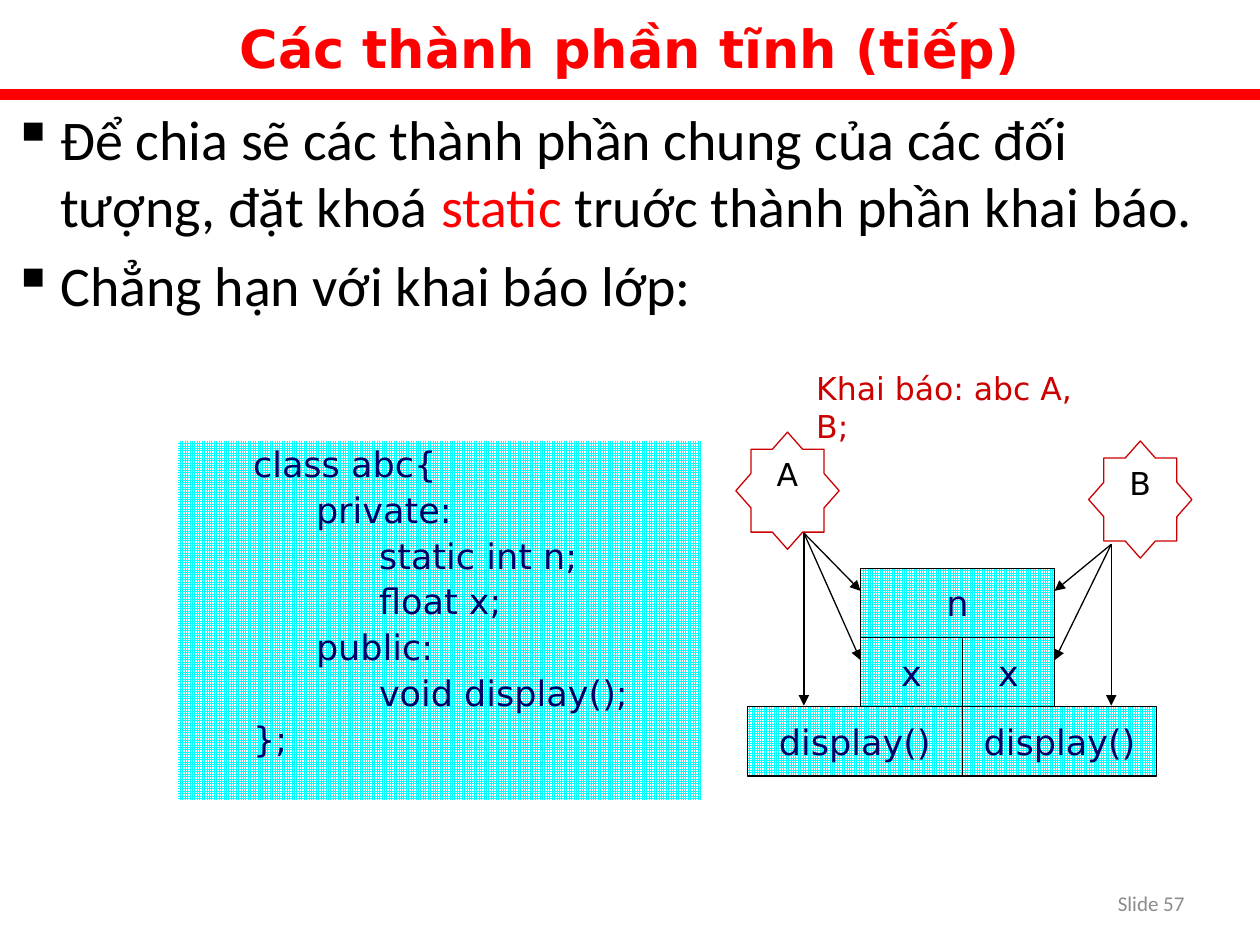
from lxml import etree
from pptx import Presentation
from pptx.dml.color import RGBColor
from pptx.enum.dml import MSO_PATTERN
from pptx.enum.shapes import MSO_CONNECTOR, MSO_SHAPE
from pptx.enum.text import MSO_ANCHOR, PP_ALIGN
from pptx.oxml.ns import qn
from pptx.util import Inches, Pt

RECT, STAR = MSO_SHAPE.RECTANGLE, MSO_SHAPE.STAR_8_POINT
STRAIGHT = MSO_CONNECTOR.STRAIGHT
GRID = MSO_PATTERN.SMALL_GRID
LEFT, CENTER, RIGHT, JUSTIFY = (PP_ALIGN.LEFT, PP_ALIGN.CENTER,
                                PP_ALIGN.RIGHT, PP_ALIGN.JUSTIFY)
TOP, MIDDLE = MSO_ANCHOR.TOP, MSO_ANCHOR.MIDDLE
RED, DARK_RED, NAVY, CYAN = "FF0000", "CC0000", "000066", "00FFFF"
BLACK, WHITE, GREY = "000000", "FFFFFF", "8C8C8C"
BODY_FONT, CODE_FONT = "Calibri", "DejaVu Sans"


def rgb(value):
    return RGBColor.from_string(value)


class SlideBuilder:
    def __init__(self, prs):
        self.s = prs.slides.add_slide(prs.slide_layouts[6])

    def style(self, p, size, color, font=CODE_FONT, align=LEFT, before=0):
        p.font.size, p.font.name = Pt(size), font
        p.font.color.rgb = rgb(color)
        p.alignment = align
        p.space_before = Pt(before)

    def text(self, box, text, size, color, anchor=TOP, **style):
        sp = self.s.shapes.add_textbox(*map(Inches, box))
        tf = sp.text_frame
        tf.word_wrap = True
        tf.vertical_anchor = anchor
        p = tf.paragraphs[0]
        p.text = text
        self.style(p, size, color, **style)
        return p

    def bullets(self, box, items, size):
        tf = self.s.shapes.add_textbox(*map(Inches, box)).text_frame
        tf.word_wrap = True
        for i, runs in enumerate(items):
            p = tf.add_paragraph() if i else tf.paragraphs[0]
            self.style(p, size, BLACK, BODY_FONT, before=size * 0.2)
            for text, color in runs:
                r = p.add_run()
                r.text = text
                r.font.color.rgb = rgb(color)
            pPr = p._p.get_or_add_pPr()
            pPr.set("marL", str(Inches(0.38)))
            pPr.set("indent", str(Inches(-0.38)))
            bullet = etree.Element(qn("a:buChar"), char="▪")
            pPr.find(qn("a:spcBef")).addnext(bullet)

    def shape(self, kind, box, line=None, patterned=True):
        sp = self.s.shapes.add_shape(kind, *map(Inches, box))
        sp.shadow.inherit = False
        if patterned:
            sp.fill.patterned()
            sp.fill.pattern = GRID
            sp.fill.fore_color.rgb = rgb(CYAN)
            sp.fill.back_color.rgb = rgb(WHITE)
        else:
            sp.fill.background()
        if line:
            sp.line.color.rgb = rgb(line)
            sp.line.width = Pt(0.75)
        else:
            sp.line.fill.background()
        return sp

    def code(self, box, lines):
        tf = self.shape(RECT, box).text_frame
        tf.word_wrap = True
        tf.vertical_anchor = TOP
        for i, (level, text) in enumerate(lines):
            p = tf.add_paragraph() if i else tf.paragraphs[0]
            p.text = text
            p.level = level
            p.line_spacing = 0.9
            self.style(p, 20, NAVY, align=JUSTIFY, before=4.6)
            pPr = p._p.get_or_add_pPr()
            pPr.set("marL", str(Inches(0.5 * level)))
            pPr.set("indent", "0")

    def cell(self, box, text):
        tf = self.shape(RECT, box, BLACK).text_frame
        tf.word_wrap = False
        tf.vertical_anchor = MIDDLE
        tf.text = text
        self.style(tf.paragraphs[0], 20, NAVY, align=CENTER)

    def star(self, left, top, text):
        sp = self.shape(STAR, (left, top, 0.82, 0.93), DARK_RED, False)
        sp.adjustments[0] = 0.383
        tf = sp.text_frame
        tf.word_wrap = True
        tf.vertical_anchor = TOP
        tf.text = text
        self.style(tf.paragraphs[0], 18, BLACK, align=CENTER, before=10)

    def line(self, start, end, color=BLACK, width=0.75, arrow=True):
        c = self.s.shapes.add_connector(STRAIGHT, *map(Inches, start + end))
        c.line.color.rgb = rgb(color)
        c.line.width = Pt(width)
        if arrow:
            etree.SubElement(c.line._get_or_add_ln(), qn("a:tailEnd"),
                             type="triangle")
        etree.SubElement(c._element.spPr, qn("a:effectLst"))


prs = Presentation()
prs.slide_width, prs.slide_height = Inches(10), Inches(7.5)
b = SlideBuilder(prs)

# Slide number, title and rule
b.text((7.42, 6.92, 2.08, 0.5), "Slide 57", 12, GREY, MIDDLE,
       font=BODY_FONT, align=RIGHT)
title = b.text((0, 0.08, 10, 0.71), "Các thành phần tĩnh (tiếp)", 30, RED,
               align=CENTER, before=6)
title.font.bold = True
title.space_after = Pt(6)
b.line((0, 0.75), (10, 0.75), RED, 6, arrow=False)

# Body
b.bullets((0, 0.78, 9.66, 1.88), [
    [("Để chia sẽ các thành phần chung của các đối tượng, đặt khoá ", BLACK),
     ("static", RED), (" truớc thành phần khai báo.", BLACK)],
    [("Chẳng hạn với khai báo lớp:", BLACK)],
], 32)

# Class declaration
b.code((1.41, 3.5, 4.15, 2.85), [
    (1, "class abc{"), (2, "private:"), (3, "static int n;"),
    (3, "float x;"), (2, "public:"), (3, "void display();"), (1, "};"),
])

# Memory cells: the shared member above, one column per object below
ROW_TOP, ROW_H = 4.51, 0.55
CELLS = [(0, 6.83, 8.37, "n"), (1, 6.83, 7.64, "x"), (1, 7.64, 8.37, "x"),
         (2, 5.93, 7.64, "display()"), (2, 7.64, 9.18, "display()")]
for row, left, right, text in CELLS:
    b.cell((left, ROW_TOP + row * ROW_H, right - left, ROW_H), text)

# Objects and their arrows to the members
OBJECTS = [("A", 5.84, 3.43, (6.38, 4.23), 6.83),
           ("B", 8.64, 3.5, (8.82, 4.32), 8.37)]
for name, left, top, start, edge in OBJECTS:
    b.star(left, top, name)
    for end in ((edge, 4.69), (edge, 5.24), (start[0], 5.6)):
        b.line(start, end)
b.text((6.38, 2.88, 2.53, 0.44), "Khai báo: abc A, B;", 18, DARK_RED)

prs.save("out.pptx")
